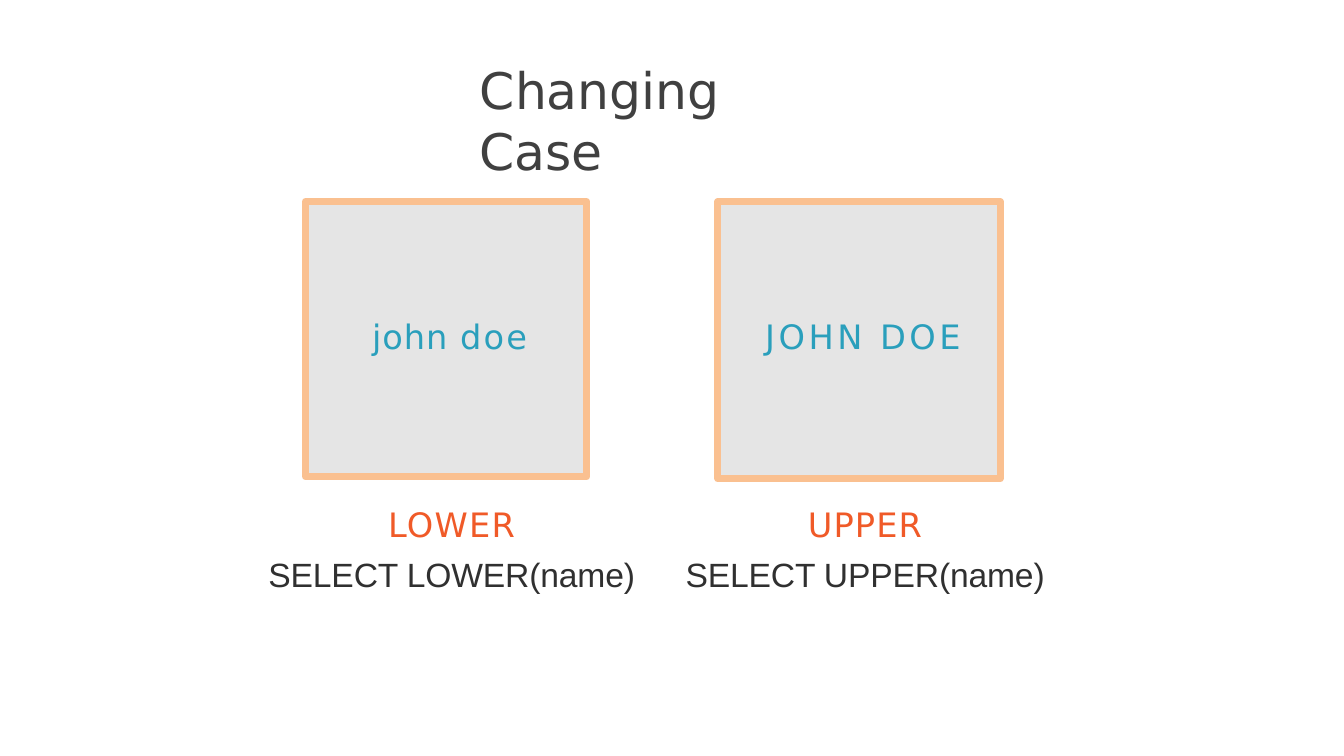
"""Build the Changing Case slide comparing LOWER and UPPER."""
from dataclasses import dataclass

from pptx import Presentation
from pptx.dml.color import RGBColor
from pptx.enum.shapes import MSO_SHAPE
from pptx.enum.text import MSO_ANCHOR, PP_ALIGN
from pptx.util import Inches, Pt

TITLE = [("Changing ", 0), ("Case", -0.2)]
TITLE_BOX = (4.75, 0.57, 3.74, 0.63)
CARDS = [
    {"box": (3.03, 2, 2.79, 2.73), "indent": 0.66,
     "sample": [("john ", 0.7), ("doe", 1.6)],
     "caption_box": (2.28, 4.86, 4.4, 1.03),
     "name": [("LOWER", 0.9)], "query": [("SELECT LOWER(name)", -0.1)]},
    {"box": (7.12, 2, 2.8, 2.75), "indent": 0.47,
     "sample": [("JOHN DOE", 2.5)],
     "caption_box": (6.08, 4.86, 5, 1.03),
     "name": [("UPPER", 0.8)], "query": [("SELECT UPPER(name)", -0.1)]},
]


@dataclass(frozen=True)
class Theme:
    display: str = "DejaVu Sans"
    body: str = "Arial"
    title_size: int = 36
    text_size: int = 24
    border_width: int = 5
    title: str = "404040"
    sample: str = "2A9FBC"
    name: str = "F05A28"
    query: str = "303030"
    card: str = "E5E5E5"
    border: str = "FAC090"


THEME = Theme()


def color(value):
    return RGBColor.from_string(value)


def prepare_frame(shape, left=0, top=0, right=0):
    frame = shape.text_frame
    frame.word_wrap = True
    frame.vertical_anchor = MSO_ANCHOR.TOP
    frame.margin_left, frame.margin_top = Inches(left), Inches(top)
    frame.margin_right, frame.margin_bottom = Inches(right), 0
    return frame


def write(paragraph, runs, size, ink, family=THEME.display, align=PP_ALIGN.LEFT):
    paragraph.alignment = align
    paragraph.font.size = Pt(size)
    paragraph.font.name = family
    paragraph.font.color.rgb = color(ink)
    for text, spacing in runs:
        run = paragraph.add_run()
        run.text = text
        run.font._element.set("spc", str(round(spacing * 100)))


def add_card(slide, card):
    shape = slide.shapes.add_shape(MSO_SHAPE.RECTANGLE, *map(Inches, card["box"]))
    shape.shadow.inherit = False
    shape.fill.solid()
    shape.fill.fore_color.rgb = color(THEME.card)
    shape.line.color.rgb = color(THEME.border)
    shape.line.width = Pt(THEME.border_width)
    frame = prepare_frame(shape, card["indent"], 1.13)
    write(frame.paragraphs[0], card["sample"], THEME.text_size, THEME.sample)

    caption = slide.shapes.add_textbox(*map(Inches, card["caption_box"]))
    frame = prepare_frame(caption, top=0.14)
    write(frame.paragraphs[0], card["name"], THEME.text_size, THEME.name,
          align=PP_ALIGN.CENTER)
    query = frame.add_paragraph()
    query.space_before = Pt(7)
    write(query, card["query"], THEME.text_size, THEME.query, THEME.body,
          PP_ALIGN.CENTER)


def main():
    presentation = Presentation()
    presentation.slide_width = Inches(13.33)
    presentation.slide_height = Inches(7.5)
    slide = presentation.slides.add_slide(presentation.slide_layouts[6])
    title = slide.shapes.add_textbox(*map(Inches, TITLE_BOX))
    frame = prepare_frame(title, 0.01, 0.02, 0.2)
    write(frame.paragraphs[0], TITLE, THEME.title_size, THEME.title)
    for card in CARDS:
        add_card(slide, card)
    presentation.save("out.pptx")


if __name__ == "__main__":
    main()
